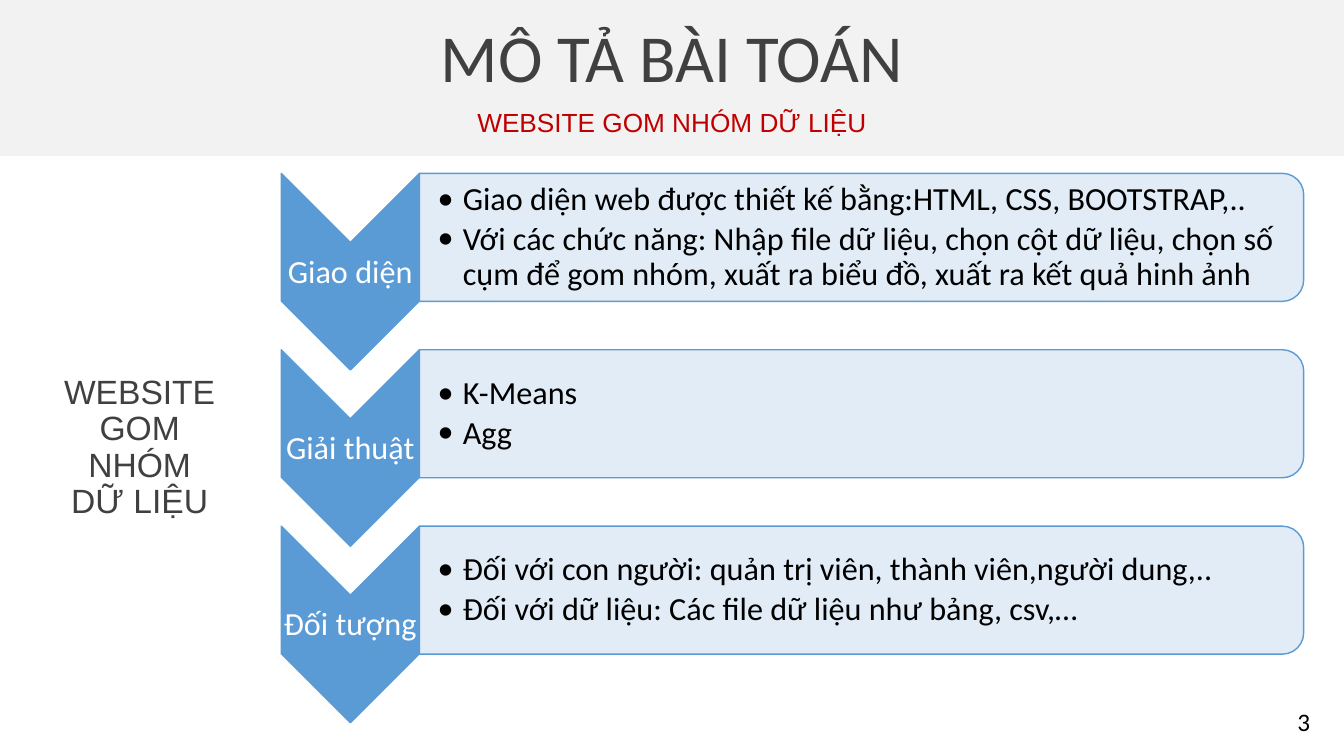
import dataclasses
import lxml.etree
import pptx
import pptx.dml.color
import pptx.enum.shapes
import pptx.enum.text
import pptx.oxml.ns
import pptx.util

Inches = pptx.util.Inches
Pt = pptx.util.Pt
Kind = pptx.enum.shapes.MSO_SHAPE
Align = pptx.enum.text.PP_ALIGN
Anchor = pptx.enum.text.MSO_ANCHOR
qn = pptx.oxml.ns.qn


@dataclasses.dataclass(frozen=True)
class Theme:
    band: str = "F2F2F2"
    blue: str = "5B9BD5"
    pale: str = "DEEBF7"
    gray: str = "404040"
    red: str = "C00000"
    white: str = "FFFFFF"
    black: str = "000000"
    head: float = 48
    sub: float = 18.7
    side: float = 24
    item: float = 23
    page: float = 18
    main: str = "Calibri"
    alt: str = "Arial"


THEME = Theme()
WIDTH = 13.33
ROWS = [
    ("Giao diện", [
        "Giao diện web được thiết kế bằng:HTML, CSS, BOOTSTRAP,..",
        "Với các chức năng: Nhập file dữ liệu, chọn cột dữ liệu, chọn số "
        "cụm để gom nhóm, xuất ra biểu đồ, xuất ra kết quả hinh ảnh",
    ]),
    ("Giải thuật", ["K-Means", "Agg"]),
    ("Đối tượng", [
        "Đối với con người: quản trị viên, thành viên,người dung,..",
        "Đối với dữ liệu: Các file dữ liệu như bảng, csv,…",
    ]),
]


def color(code):
    return pptx.dml.color.RGBColor.from_string(code)


def place(shape, left, top, width, height):
    shape.left, shape.top = Inches(left), Inches(top)
    shape.width, shape.height = Inches(width), Inches(height)


def bullet(para):
    props = para._p.get_or_add_pPr()
    props.set("marL", str(Inches(0.25)))
    props.set("indent", str(Inches(-0.25)))
    font = lxml.etree.SubElement(props, qn("a:buFont"))
    font.set("typeface", THEME.main)
    lxml.etree.SubElement(props, qn("a:buChar")).set("char", "•")


def write(shape, lines, size, ink, face=THEME.main, align=Align.CENTER,
          anchor=Anchor.MIDDLE, listed=False, inset=None):
    frame = shape.text_frame
    frame.text = "\n".join(lines)
    frame.word_wrap = True
    frame.auto_size = pptx.enum.text.MSO_AUTO_SIZE.NONE
    frame.vertical_anchor = anchor
    if inset is not None:
        frame.margin_left = Inches(inset)
        frame.margin_right = frame.margin_top = frame.margin_bottom = Inches(0.02)
    for para in frame.paragraphs:
        if listed:
            bullet(para)
        para.alignment = align
        para.line_spacing = 0.9
        para.space_before = Pt(0)
        para.space_after = Pt(3.5 if listed else 0)
        para.font.size = Pt(size)
        para.font.name = face
        para.font.bold = False
        para.font.color.rgb = color(ink)


def block(slide, kind, box, fill, line=None):
    shape = slide.shapes.add_shape(kind, *map(Inches, box))
    shape.shadow.inherit = False
    shape.fill.solid()
    shape.fill.fore_color.rgb = color(fill)
    if line:
        shape.line.color.rgb = color(line)
        shape.line.width = Pt(1)
    else:
        shape.line.fill.background()
    return shape


def turned(slide, kind, left, top, width, height, fill):
    shift = (width - height) / 2
    box = (left + shift, top - shift, height, width)
    shape = block(slide, kind, box, fill, THEME.blue)
    shape.rotation = 90
    return shape


def fade(shape, percent):
    tint = shape._element.spPr.find(qn("a:solidFill"))[0]
    lxml.etree.SubElement(tint, qn("a:alpha")).set("val", str(percent * 1000))


def label(slide, text, box, size, ink, **style):
    shape = slide.shapes.add_textbox(*map(Inches, box))
    write(shape, [text], size, ink, **style)


def raise_up(slide, shape):
    slide.shapes._spTree.append(shape._element)


def heading(slide, title, sub):
    block(slide, Kind.RECTANGLE, (0, 0, WIDTH, 1.55), THEME.band)
    place(title, 0, 0.18, WIDTH, 0.84)
    write(title, ["MÔ TẢ BÀI TOÁN"], THEME.head, THEME.gray)
    place(sub, 0, 1.02, WIDTH, 0.42)
    write(sub, ["WEBSITE GOM NHÓM DỮ LIỆU"], THEME.sub, THEME.red, THEME.alt)
    raise_up(slide, title)
    raise_up(slide, sub)


def row(slide, body, top, name, items):
    turned(slide, Kind.CHEVRON, 2.79, top, 1.37, 1.95, THEME.blue)
    label(slide, name, (2.79, top + 0.69, 1.37, 0.59), THEME.item,
          THEME.white, inset=0.02)
    panel = turned(slide, Kind.ROUND_2_SAME_RECTANGLE, 4.16, top, 8.77, 1.27,
                   THEME.pale)
    fade(panel, 90)
    place(body, 4.16, top + 0.06, 8.71, 1.15)
    write(body, items, THEME.item, THEME.black, align=Align.LEFT,
          listed=True, inset=0.18)
    raise_up(slide, body)


def main():
    deck = pptx.Presentation()
    deck.slide_width, deck.slide_height = Inches(WIDTH), Inches(7.5)
    slide = deck.slides.add_slide(deck.slide_layouts.get_by_name("Comparison"))
    title, sub, *bodies = slide.placeholders
    heading(slide, title, sub)
    label(slide, "WEBSITE GOM NHÓM DỮ LIỆU", (0.51, 3.51, 1.75, 1.87),
          THEME.side, THEME.gray, face=THEME.alt)
    for index, (body, (name, items)) in enumerate(zip(bodies, ROWS)):
        row(slide, body, 1.72 + 1.75 * index, name, items)
    label(slide, "3", (12.77, 6.99, 0.56, 0.4), THEME.page, THEME.black,
          align=Align.LEFT, anchor=Anchor.TOP)
    deck.save("out.pptx")


if __name__ == "__main__":
    main()
